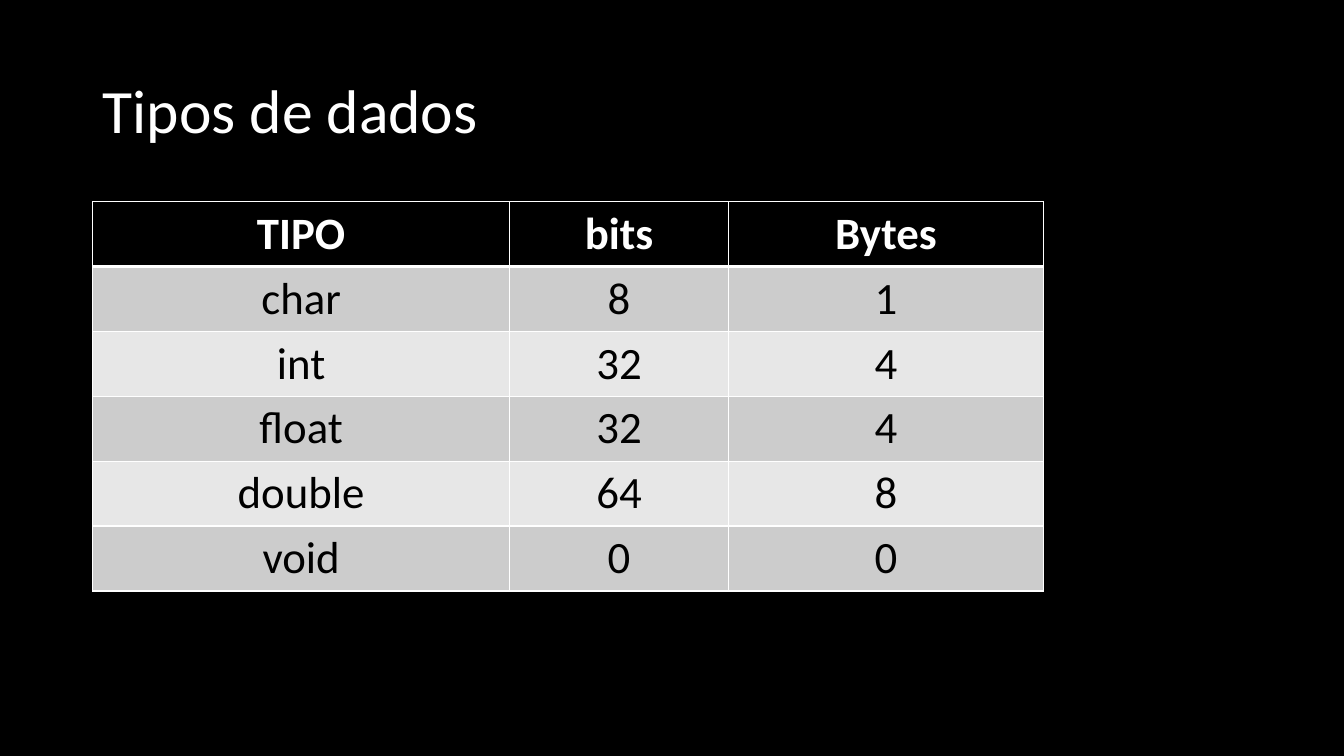
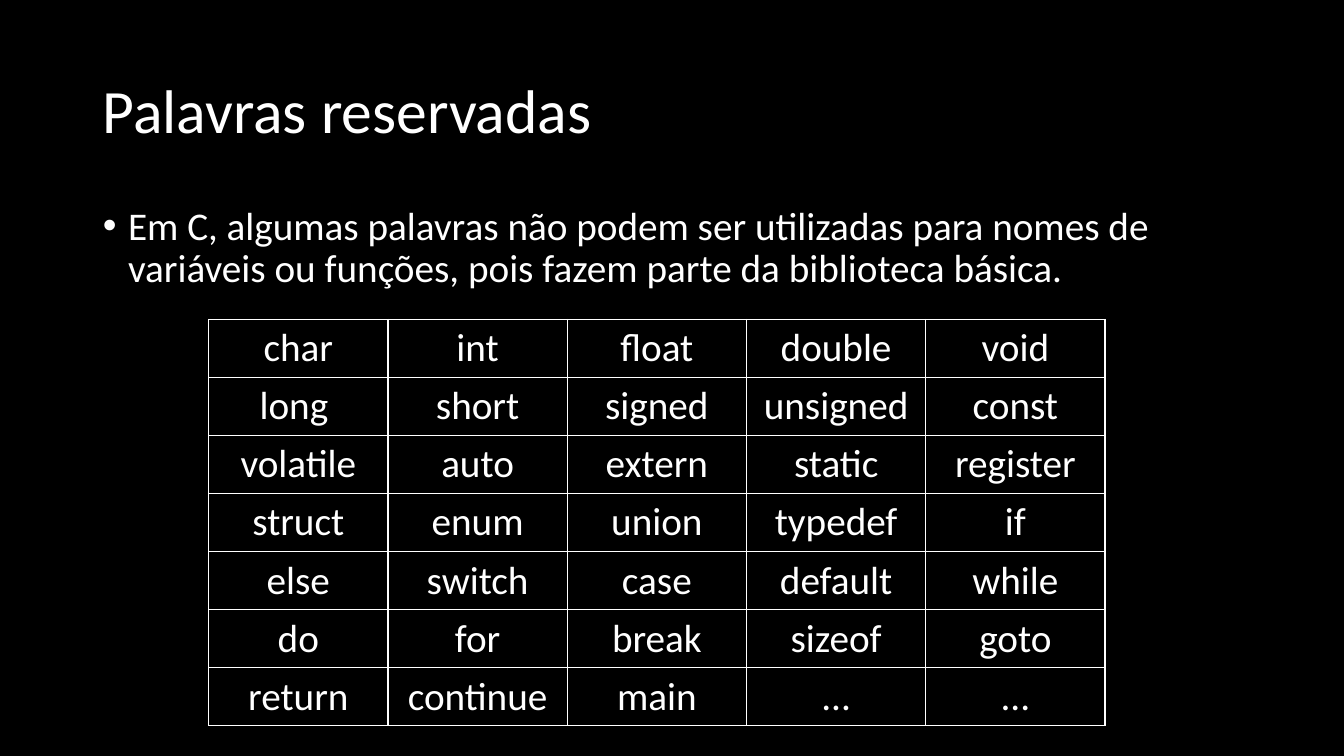
import dataclasses
import pptx
import pptx.util
import pptx.dml.color
import pptx.enum.text
import pptx.oxml
import pptx.oxml.ns

Inches = pptx.util.Inches
Pt = pptx.util.Pt
Align = pptx.enum.text.PP_ALIGN
Anchor = pptx.enum.text.MSO_ANCHOR
qn = pptx.oxml.ns.qn


@dataclasses.dataclass(frozen=True)
class Theme:
    font: str = "Calibri"
    back: str = "000000"
    text: str = "FFFFFF"
    odd: str = "CCCCCC"
    even: str = "E7E7E7"
    head: int = 44
    large: int = 32
    body: int = 28
    thin: int = 1
    thick: int = 3


theme = Theme()
title_box = (0.92, 0.4, 11.5, 1.45)
body_box = (0.92, 2, 11.5, 4.76)


def paint(fill, color):
    fill.solid()
    fill.fore_color.rgb = pptx.dml.color.RGBColor.from_string(color)


def write(para, text, size, color, bold=False):
    run = para.add_run()
    run.text = text
    run.font.name = theme.font
    run.font.size = Pt(size)
    run.font.bold = bold
    run.font.color.rgb = pptx.dml.color.RGBColor.from_string(color)


def place(holder, box, text, size, anchor):
    holder.left, holder.top, holder.width, holder.height = map(Inches, box)
    frame = holder.text_frame
    frame.auto_size = pptx.enum.text.MSO_AUTO_SIZE.NONE
    frame.word_wrap = True
    frame.vertical_anchor = anchor
    para = frame.paragraphs[0]
    para.alignment = Align.LEFT
    para.line_spacing = 0.9
    write(para, text, size, theme.text)
    return para


def add_title(slide, text):
    para = place(slide.shapes.title, title_box, text, theme.head, Anchor.MIDDLE)
    para.space_before = Pt(0)


def add_body(slide, text):
    para = place(slide.placeholders[1], body_box, text, theme.body, Anchor.TOP)
    para.space_before = Pt(10)
    props = para._p.get_or_add_pPr()
    props.set("marL", str(Inches(0.25)))
    props.set("indent", str(-Inches(0.25)))
    font = props.makeelement(qn("a:buFont"), {"typeface": "Arial"})
    mark = props.makeelement(qn("a:buChar"), {"char": "•"})
    props.extend([font, mark])


def edge(cell, side, width):
    props = cell._tc.get_or_add_tcPr()
    line = pptx.oxml.parse_xml(
        f'<a:ln{side} xmlns:a="{pptx.oxml.ns.nsdecls("a").split(chr(34))[1]}" '
        f'w="{Pt(width)}"><a:solidFill><a:srgbClr val="{theme.text}"/>'
        f'</a:solidFill></a:ln{side}>')
    props.append(line)


def add_grid(slide, box, rows, parts, size, anchor, header=False):
    left, top, width, height = map(Inches, box)
    grid = slide.shapes.add_table(
        len(rows), len(parts), left, top, width, height).table
    grid.first_row = header
    grid.horz_banding = False
    for col, part in zip(grid.columns, parts):
        col.width = int(width * part / sum(parts))
    for r, row in enumerate(rows):
        first = header and r == 0
        for c, text in enumerate(row):
            cell = grid.cell(r, c)
            cell.vertical_anchor = anchor
            for side in "LRTB":
                strong = header and (r, side) in ((0, "B"), (1, "T"))
                edge(cell, side, theme.thick if strong else theme.thin)
            if not header:
                cell.fill.background()
            elif first:
                paint(cell.fill, theme.back)
            else:
                paint(cell.fill, theme.odd if r % 2 else theme.even)
            para = cell.text_frame.paragraphs[0]
            para.alignment = Align.CENTER
            color = theme.back if header and not first else theme.text
            write(para, text, size, color, first)


def types_slide(deck):
    slide = deck.slides.add_slide(deck.slide_layouts[5])
    add_title(slide, "Tipos de dados")
    rows = [
        ("TIPO", "bits", "Bytes"),
        ("char", "8", "1"),
        ("int", "32", "4"),
        ("float", "32", "4"),
        ("double", "64", "8"),
        ("void", "0", "0"),
    ]
    add_grid(slide, (0.92, 2, 9.43, 3.8), rows, (4.13, 2.17, 3.12),
             theme.large, Anchor.TOP, header=True)


def words_slide(deck):
    slide = deck.slides.add_slide(deck.slide_layouts[1])
    add_title(slide, "Palavras reservadas")
    add_body(slide, "Em C, algumas palavras não podem ser utilizadas para nomes "
                    "de variáveis ou funções, pois fazem parte da biblioteca básica.")
    rows = [
        ("char", "int", "float", "double", "void"),
        ("long ", "short", "signed", "unsigned", "const"),
        ("volatile", "auto", "extern", "static", "register"),
        ("struct", "enum", "union", "typedef", "if"),
        ("else", "switch", "case", "default", "while"),
        ("do", "for", "break", "sizeof", "goto"),
        ("return", "continue", "main", "...", "..."),
    ]
    add_grid(slide, (2.07, 3.17, 8.89, 3.97), rows, (1,) * 5,
             theme.body, Anchor.MIDDLE)


deck = pptx.Presentation()
deck.slide_width = Inches(13.33)
deck.slide_height = Inches(7.5)
paint(deck.slide_master.background.fill, theme.back)
types_slide(deck)
words_slide(deck)
deck.save("out.pptx")
